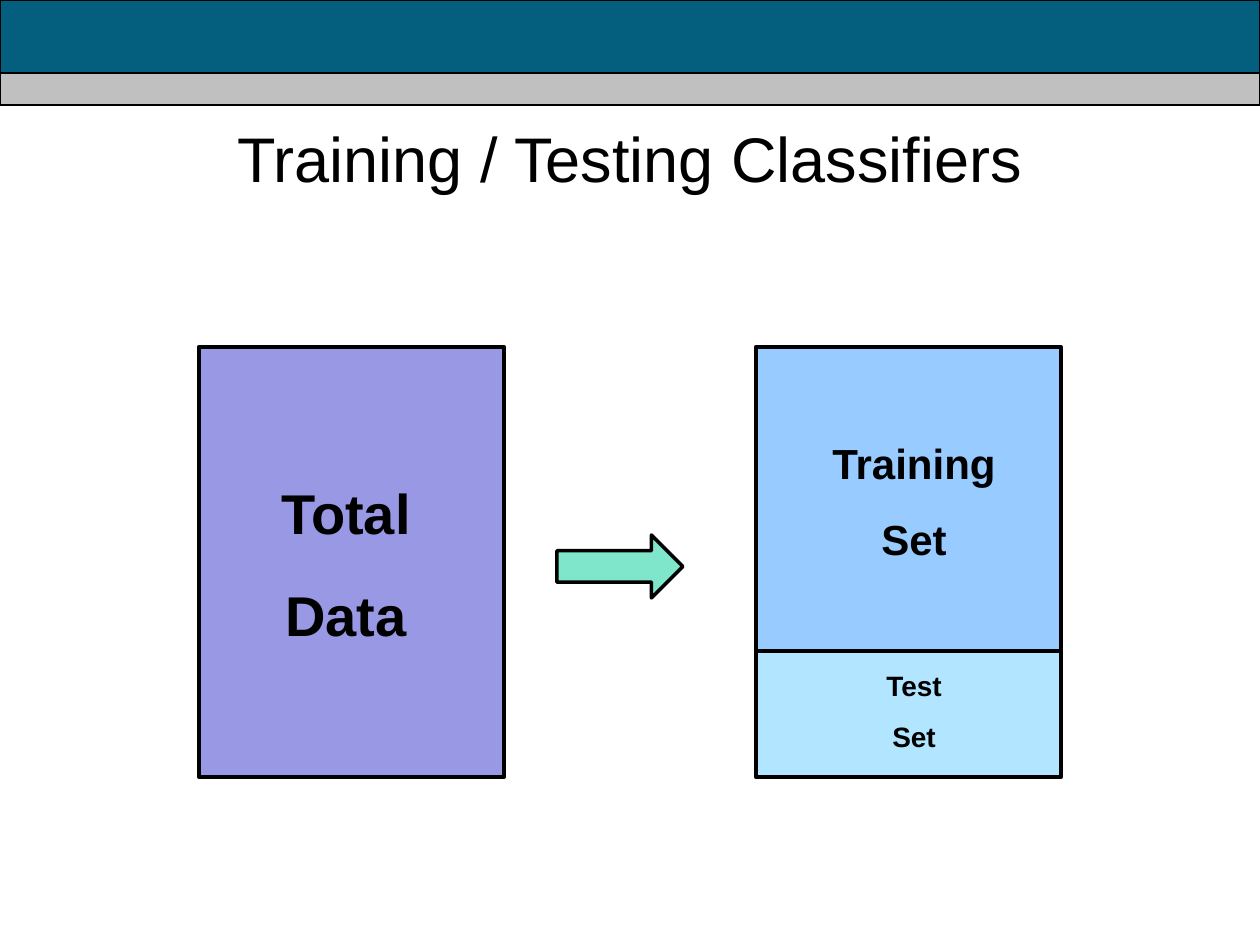
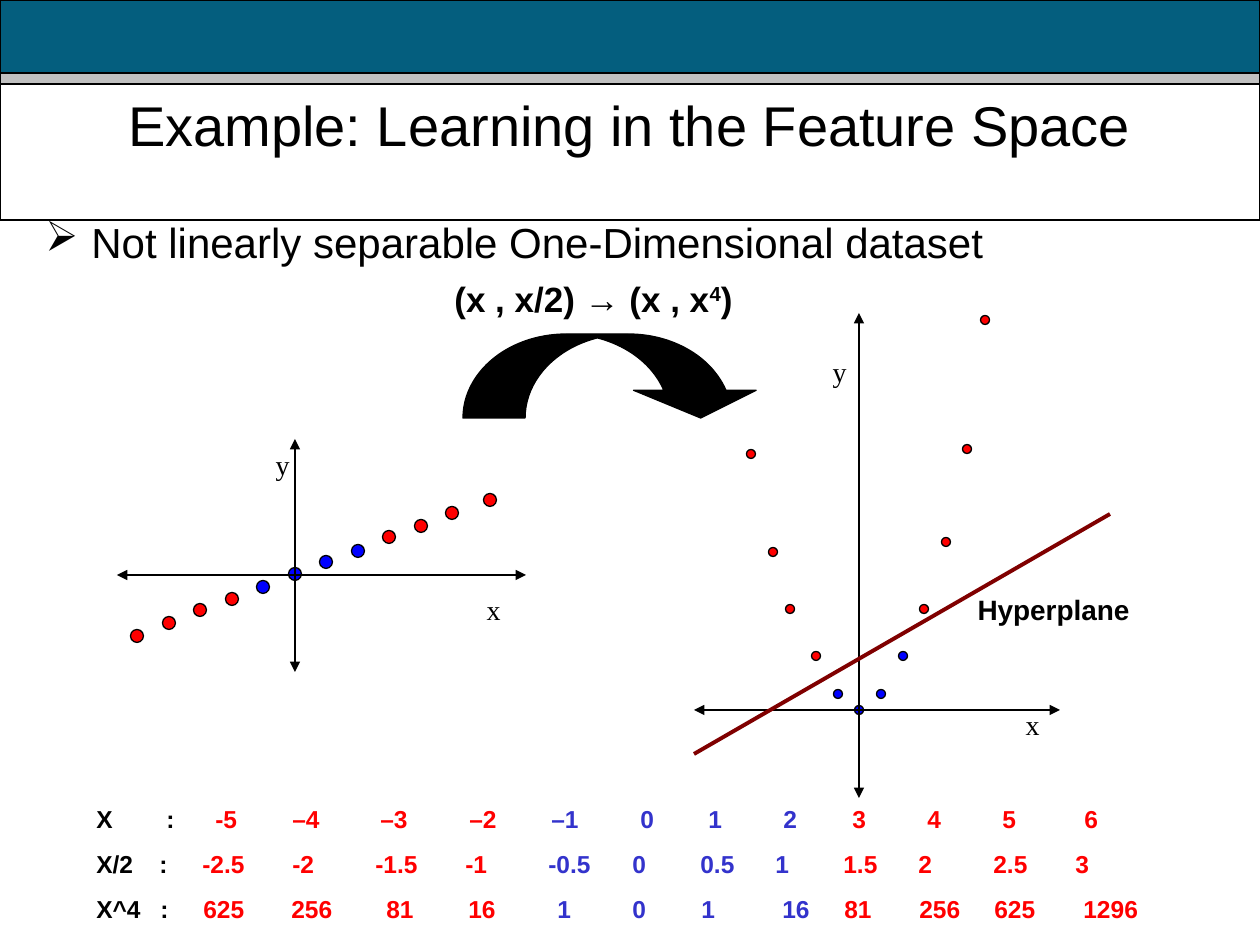
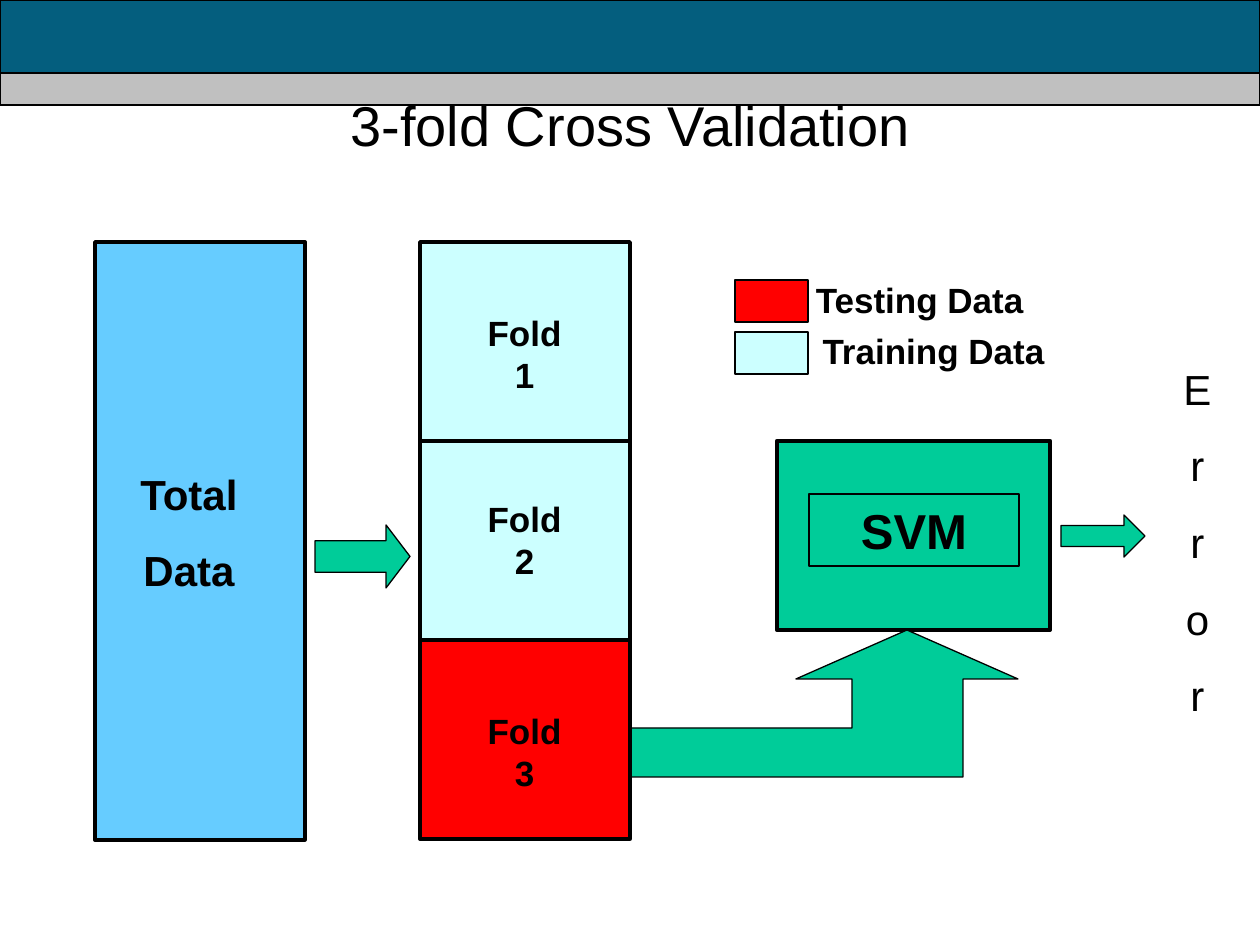
"""Build three slides on training, testing and cross-validating classifiers."""
from pptx import Presentation
from pptx.dml.color import RGBColor
from pptx.enum.shapes import MSO_CONNECTOR, MSO_SHAPE
from pptx.enum.text import MSO_ANCHOR, PP_ALIGN
from pptx.oxml import parse_xml
from pptx.oxml.ns import nsdecls, qn
from pptx.util import Pt

RECTANGLE = MSO_SHAPE.RECTANGLE
OVAL = MSO_SHAPE.OVAL
RIGHT_ARROW = MSO_SHAPE.RIGHT_ARROW
CURVED_ARROW = MSO_SHAPE.CURVED_DOWN_ARROW
STRAIGHT = MSO_CONNECTOR.STRAIGHT
LEFT, CENTER, RIGHT = PP_ALIGN.LEFT, PP_ALIGN.CENTER, PP_ALIGN.RIGHT
TOP, MIDDLE = MSO_ANCHOR.TOP, MSO_ANCHOR.MIDDLE

EMU_PER_PX = 914400 / 126
BLACK, WHITE, RED, BLUE = "000000", "FFFFFF", "FF0000", "0000FF"
TEAL, GRAY, GREEN, SKY, PALE = "045E7E", "C0C0C0", "00CC99", "66CCFF", "CCFFFF"
VIOLET, AZURE, INDIGO, MAROON = "3333CC", "3399FF", "3333CC", "800000"


def add_box(slide, kind, box, fill=None, line_width=0.75, opacity=100):
    """Add an outlined preset shape, its box given in px."""
    shape = slide.shapes.add_shape(kind, *[round(length * EMU_PER_PX) for length in box])
    shape.shadow.inherit = False
    shape.line.color.rgb = RGBColor.from_string(BLACK)
    shape.line.width = Pt(line_width)
    if fill is None:
        shape.fill.background()
    else:
        shape.fill.solid()
        shape.fill.fore_color.rgb = RGBColor.from_string(fill)
    if opacity < 100:
        color = shape._element.spPr.find(qn("a:solidFill"))[0]
        color.append(parse_xml(f'<a:alpha {nsdecls("a")} val="{opacity * 1000}"/>'))
    return shape


def add_text(slide, box, lines, size, bold=False, align=CENTER, space=0,
             font="Arial", anchor=TOP):
    """Add a text box with one paragraph a line and return its paragraphs."""
    shape = slide.shapes.add_textbox(*[round(length * EMU_PER_PX) for length in box])
    frame = shape.text_frame
    frame.word_wrap = True
    frame.vertical_anchor = anchor
    frame.text = "\n".join(lines)
    for index, paragraph in enumerate(frame.paragraphs):
        paragraph.alignment = align
        if index and space:
            paragraph.space_before = Pt(space)
        paragraph.font.name = font
        paragraph.font.size = Pt(size)
        paragraph.font.bold = bold
        paragraph.font.color.rgb = RGBColor.from_string(BLACK)
    return frame.paragraphs


presentation = Presentation()
presentation.slide_width = round(1260 * EMU_PER_PX)
presentation.slide_height = round(945 * EMU_PER_PX)
titles = [
    ("Training / Testing Classifiers", (47, 84, 1166, 147), 36, MIDDLE),
    ("Example: Learning in the Feature Space", (0, 84, 1260, 136), 32, TOP),
    ("3-fold Cross Validation", (95, 84, 1071, 136), 32, TOP),
]
slides = []
for title, box, size, anchor in titles:
    slide = presentation.slides.add_slide(presentation.slide_layouts[6])
    add_box(slide, RECTANGLE, (0, 0, 1260, 105), TEAL)
    add_box(slide, RECTANGLE, (0, 73, 1260, 32), GRAY)
    if slides and len(slides) == 1:
        add_box(slide, RECTANGLE, box, WHITE)
    add_text(slide, box, [title], size, anchor=anchor)
    slides.append(slide)
split_slide, feature_slide, fold_slide = slides

add_box(split_slide, RIGHT_ARROW, (557, 535, 126, 63), GREEN, 2, 50)
data_sets = [
    ((199, 347, 305, 430), VIOLET, (220, 472, 252, 183), ["Total", "Data"], 32, 20),
    ((756, 347, 305, 304), AZURE, (809, 431, 210, 140), ["Training", "Set"], 24, 15),
    ((756, 651, 305, 126), SKY, (809, 662, 210, 97), ["Test", "Set"], 16, 10),
]
for box, fill, text_box, lines, size, space in data_sets:
    add_box(split_slide, RECTANGLE, box, fill, 2.5, 50)
    add_text(split_slide, text_box, lines, size, True, space=space)

bullet = add_text(feature_slide, (33, 210, 974, 63),
                  ["Not linearly separable One-Dimensional dataset"], 24, align=LEFT)[0]
properties = bullet._p.get_or_add_pPr()
properties.set("marL", str(round(46 * EMU_PER_PX)))
properties.set("indent", str(round(-46 * EMU_PER_PX)))
properties[-1].addprevious(parse_xml(f'<a:buChar {nsdecls("a")} char="➢"/>'))

formula = add_text(feature_slide, (442, 271, 315, 55), ["(x , x/2) → (x , x"],
                   20, True, LEFT)[0]
exponent = formula.add_run()
exponent.text = "4"
exponent.font._element.set("baseline", "30000")
formula.add_run().text = ")"

curved_arrow = add_box(feature_slide, CURVED_ARROW, (463, 334, 299, 84), BLACK)
for index, ratio in enumerate([0.74, 1.46, 0.33]):
    curved_arrow.adjustments[index] = ratio

point_colors = [RED] * 4 + [BLUE] * 4 + [RED] * 4
input_points = [(137, 636), (169, 623), (200, 610), (232, 599), (263, 587), (295, 574),
                (326, 562), (358, 551), (389, 537), (421, 526), (452, 513), (490, 500)]
mapped_points = [(751, 454), (773, 552), (790, 609), (816, 656), (838, 694), (859, 710),
                 (881, 694), (903, 656), (924, 609), (946, 542), (967, 449), (985, 320)]
for points, size in [(input_points, 13), (mapped_points, 9)]:
    for (x, y), color in zip(points, point_colors):
        add_box(feature_slide, OVAL, (x - size / 2, y - size / 2, size, size), color)

lines = [
    ((117, 575, 526, 575), BLACK, 1, True),
    ((295, 439, 295, 672), BLACK, 1, True),
    ((694, 710, 1060, 710), BLACK, 1, True),
    ((859, 313, 859, 798), BLACK, 1, True),
    ((694, 754, 1110, 514), MAROON, 2.25, False),
]
for ends, color, width, arrowheads in lines:
    connector = feature_slide.shapes.add_connector(
        STRAIGHT, *[round(length * EMU_PER_PX) for length in ends])
    connector.line.color.rgb = RGBColor.from_string(color)
    connector.line.width = Pt(width)
    outline = connector._element.spPr.find(qn("a:ln"))
    if arrowheads:
        for tag in ("headEnd", "tailEnd"):
            outline.append(parse_xml(f'<a:{tag} {nsdecls("a")} type="triangle"/>'))
    outline.addnext(parse_xml(f'<a:effectLst {nsdecls("a")}/>'))

for name, left, top in [("x", 474, 586), ("y", 263, 441), ("x", 1013, 701), ("y", 820, 348)]:
    add_text(feature_slide, (left, top, 39, 47), [name], 16, align=RIGHT,
             font="Times New Roman")
add_text(feature_slide, (955, 586, 187, 47), ["Hyperplane"], 16, True, RIGHT)

value_rows = [
    ("X : -5 –4 –3 –2 –1 0 1 2 3 4 5 6",
     [167, 216, 293, 381, 470, 552, 641, 709, 784, 853, 928, 1003, 1085]),
    ("X/2 : -2.5 -2 -1.5 -1 -0.5 0 0.5 1 1.5 2 2.5 3",
     [160, 203, 293, 376, 466, 549, 633, 701, 776, 844, 919, 994, 1076]),
    ("X^4 : 625 256 81 16 1 0 1 16 81 256 625 1296",
     [161, 204, 292, 387, 469, 558, 633, 702, 783, 845, 920, 995, 1084]),
]
paragraphs = add_text(feature_slide, (84, 798, 1134, 132), [""] * 3, 14, True, LEFT, 8.8)
for paragraph, (row, stops) in zip(paragraphs, value_rows):
    tabs = "".join(f'<a:tab pos="{round((stop - 97) * EMU_PER_PX)}" algn="l"/>'
                   for stop in stops)
    paragraph._p.get_or_add_pPr()[-1].addprevious(
        parse_xml(f'<a:tabLst {nsdecls("a")}>{tabs}</a:tabLst>'))
    cells = row.split()
    for start, end, color in [(0, 2, BLACK), (2, 6, RED), (6, 10, INDIGO), (10, 14, RED)]:
        run = paragraph.add_run()
        run.text = ("\t" if start else "") + "\t".join(cells[start:end])
        run.font.color.rgb = RGBColor.from_string(color)

add_box(fold_slide, RECTANGLE, (95, 242, 210, 598), SKY, 2)
add_text(fold_slide, (126, 462, 126, 140), ["Total", "Data"], 24, True, space=15)
add_box(fold_slide, RECTANGLE, (777, 441, 273, 189), GREEN, 2.5)
add_box(fold_slide, RECTANGLE, (809, 494, 210, 72))
add_text(fold_slide, (809, 494, 210, 72), ["SVM"], 28, True)

builder = fold_slide.shapes.build_freeform(907, 630, scale=EMU_PER_PX)
builder.add_line_segments([(796, 679), (852, 679), (852, 728), (630, 728), (630, 777),
                           (963, 777), (963, 679), (1018, 679)], close=True)
bent_arrow = builder.convert_to_shape()
bent_arrow.shadow.inherit = False
bent_arrow.fill.solid()
bent_arrow.fill.fore_color.rgb = RGBColor.from_string(GREEN)
bent_arrow.line.color.rgb = RGBColor.from_string(BLACK)
bent_arrow.line.width = Pt(0.75)

data_arrow = add_box(fold_slide, RIGHT_ARROW, (315, 525, 95, 63), GREEN)
data_arrow.adjustments[1] = 0.38
add_box(fold_slide, RIGHT_ARROW, (1061, 515, 84, 42), GREEN)

for index, (fill, text_top) in enumerate([(PALE, 305), (PALE, 491), (RED, 703)]):
    add_box(fold_slide, RECTANGLE, (420, 242 + 199 * index, 210, 199), fill, 2)
    add_text(fold_slide, (472, text_top, 105, 97), [f"Fold {index + 1}"], 20, True)

legend = [("Testing Data", RED, 280, (790, 272, 246, 55)),
          ("Training Data", PALE, 332, (798, 323, 259, 55))]
for label, fill, top, text_box in legend:
    add_box(fold_slide, RECTANGLE, (735, top, 73, 42), fill)
    add_text(fold_slide, text_box, [label], 20, True, RIGHT)
add_text(fold_slide, (1166, 357, 63, 370), "Error", 24, space=15)

presentation.save("out.pptx")
